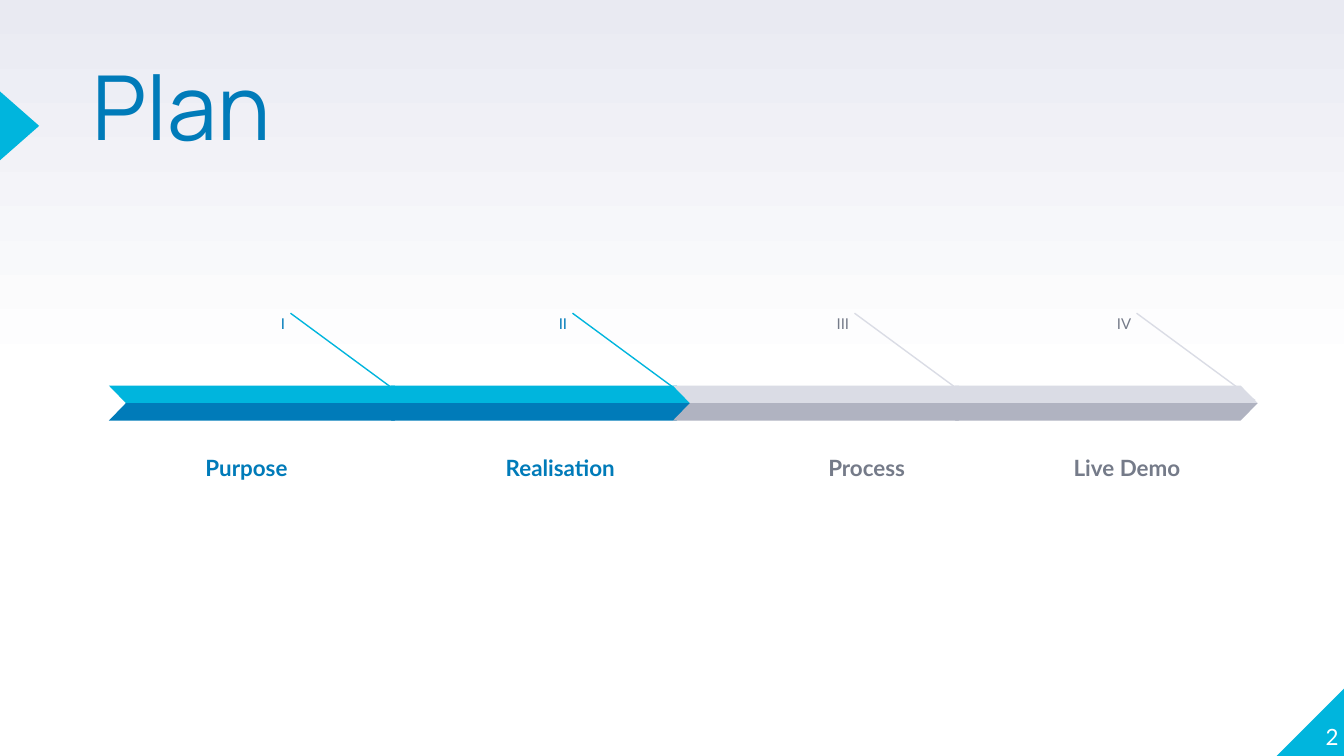
"""Build the plan slide: a four-step timeline with two steps highlighted."""
from dataclasses import dataclass

from lxml import etree
from pptx import Presentation
from pptx.dml.color import RGBColor
from pptx.enum.shapes import MSO_CONNECTOR, MSO_SHAPE
from pptx.enum.text import MSO_ANCHOR, MSO_AUTO_SIZE, PP_ALIGN
from pptx.oxml.ns import qn
from pptx.util import Cm, Pt

STRAIGHT = MSO_CONNECTOR.STRAIGHT
PARALLELOGRAM = MSO_SHAPE.PARALLELOGRAM
RIGHT_TRIANGLE = MSO_SHAPE.RIGHT_TRIANGLE
TRIANGLE = MSO_SHAPE.ISOSCELES_TRIANGLE
TOP, BOTTOM = MSO_ANCHOR.TOP, MSO_ANCHOR.BOTTOM
LEFT, CENTER, RIGHT = PP_ALIGN.LEFT, PP_ALIGN.CENTER, PP_ALIGN.RIGHT
NO_AUTOFIT = MSO_AUTO_SIZE.NONE

CYAN, BLUE = "00B5DD", "007BB9"
STEP_PITCH = 5.33
BAND_LEFT, BAND_TOP, BAND_WIDTH, BAND_HEIGHT = 2.06, 7.29, 5.72, 0.33


@dataclass(frozen=True)
class Palette:
    """Colours of one state of a step."""
    upper: str
    lower: str
    text: str


@dataclass(frozen=True)
class Step:
    """One stage of the plan, with the place of its label in cm."""
    numeral: str
    label: str
    label_left: float
    label_width: float
    palette: Palette


ACTIVE = Palette(CYAN, BLUE, BLUE)
PENDING = Palette("DADCE5", "B0B3C1", "757B89")
STEPS = (
    Step("I", "Purpose", 1.8, 5.72, ACTIVE),
    Step("II", "Realisation", 7.39, 6.4, ACTIVE),
    Step("III", "Process", 13.18, 6.4, PENDING),
    Step("IV", "Live Demo", 18.39, 5.82, PENDING),
)


def color(value: str) -> RGBColor:
    """Turn a hex string into a colour."""
    return RGBColor.from_string(value)


def write(holder, text: str, size: float, ink: str, align, anchor=TOP, font: str = "Lato",
          bold: bool = False, inset: float = 0.25, spacing: float = 1.15) -> None:
    """Fill a text holder with one formatted run."""
    frame = holder.text_frame
    frame.word_wrap = True
    frame.auto_size = NO_AUTOFIT
    frame.vertical_anchor = anchor
    frame.margin_left = frame.margin_right = Cm(inset)
    frame.margin_top = frame.margin_bottom = Cm(inset)
    paragraph = frame.paragraphs[0]
    paragraph.alignment = align
    paragraph.line_spacing = spacing
    run = paragraph.add_run()
    run.text = text
    run.font.name = font
    run.font.size = Pt(size)
    run.font.bold = bold
    run.font.color.rgb = color(ink)


def add_text(slide, left: float, top: float, width: float, height: float):
    """Add an empty text box measured in cm."""
    return slide.shapes.add_textbox(Cm(left), Cm(top), Cm(width), Cm(height))


def add_solid(slide, kind, left: float, top: float, width: float, height: float,
              fill: str, flipped: bool = False):
    """Add a filled shape without outline or shadow."""
    shape = slide.shapes.add_shape(kind, Cm(left), Cm(top), Cm(width), Cm(height))
    shape.shadow.inherit = False
    shape.fill.solid()
    shape.fill.fore_color.rgb = color(fill)
    shape.line.fill.background()
    if flipped:
        shape.element.spPr.xfrm.set("flipH", "1")
    return shape


def add_pointer(slide, left: float, ink: str) -> None:
    """Draw the slanted line from a numeral to the end of its band."""
    pointer = slide.shapes.add_connector(STRAIGHT, Cm(left), Cm(5.92), Cm(left + 2.24), Cm(7.57))
    pointer.line.color.rgb = color(ink)
    pointer.line.width = Pt(0.75)
    etree.SubElement(pointer.element.spPr, qn("a:effectLst"))


def add_step(slide, index: int, step: Step) -> None:
    """Draw the numeral, pointer, arrow band and label of a step."""
    shift = index * STEP_PITCH
    palette = step.palette
    write(add_text(slide, 3.68 + shift, 5.64, 1.96, 0.53), step.numeral, 8, palette.text, RIGHT)
    add_pointer(slide, 5.49 + shift, palette.upper)
    for row, fill in enumerate((palette.upper, palette.lower)):
        band = add_solid(slide, PARALLELOGRAM, BAND_LEFT + shift, BAND_TOP + row * BAND_HEIGHT,
                         BAND_WIDTH, BAND_HEIGHT, fill, flipped=row == 0)
        band.adjustments[0] = 0.97
    label = add_text(slide, step.label_left, 7.98, step.label_width, 1.37)
    write(label, step.label, 12, palette.text, CENTER, BOTTOM, bold=True)


def main() -> None:
    """Compose and save the slide."""
    deck = Presentation()
    deck.slide_width, deck.slide_height = Cm(25.4), Cm(14.29)
    slide = deck.slides.add_slide(deck.slide_layouts[5])

    backdrop = slide.background.fill
    backdrop.gradient()
    backdrop.gradient_angle = 90
    for stop, (position, tint) in zip(backdrop.gradient_stops, ((0.5, "FFFFFF"), (1, "E9EAF2"))):
        stop.position = position
        stop.color.rgb = color(tint)

    add_solid(slide, RIGHT_TRIANGLE, 24.13, 12.99, 1.3, 1.3, CYAN, flipped=True)
    marker = add_solid(slide, TRIANGLE, -0.28, 2.01, 1.3, 0.74, CYAN)
    marker.rotation = 90

    title = slide.shapes.title
    title.left, title.top, title.width, title.height = Cm(1.75), Cm(1.35), Cm(12.83), Cm(1.68)
    write(title, "Plan", 48, BLUE, LEFT, font="Manrope", inset=0, spacing=0.8)
    page_number = add_text(slide, 24.03, 12.88, 1.27, 1.3)
    write(page_number, "2", 12, "FFFFFF", RIGHT, BOTTOM, inset=0, spacing=1)

    for index, step in enumerate(STEPS):
        add_step(slide, index, step)

    deck.save("out.pptx")


if __name__ == "__main__":
    main()
